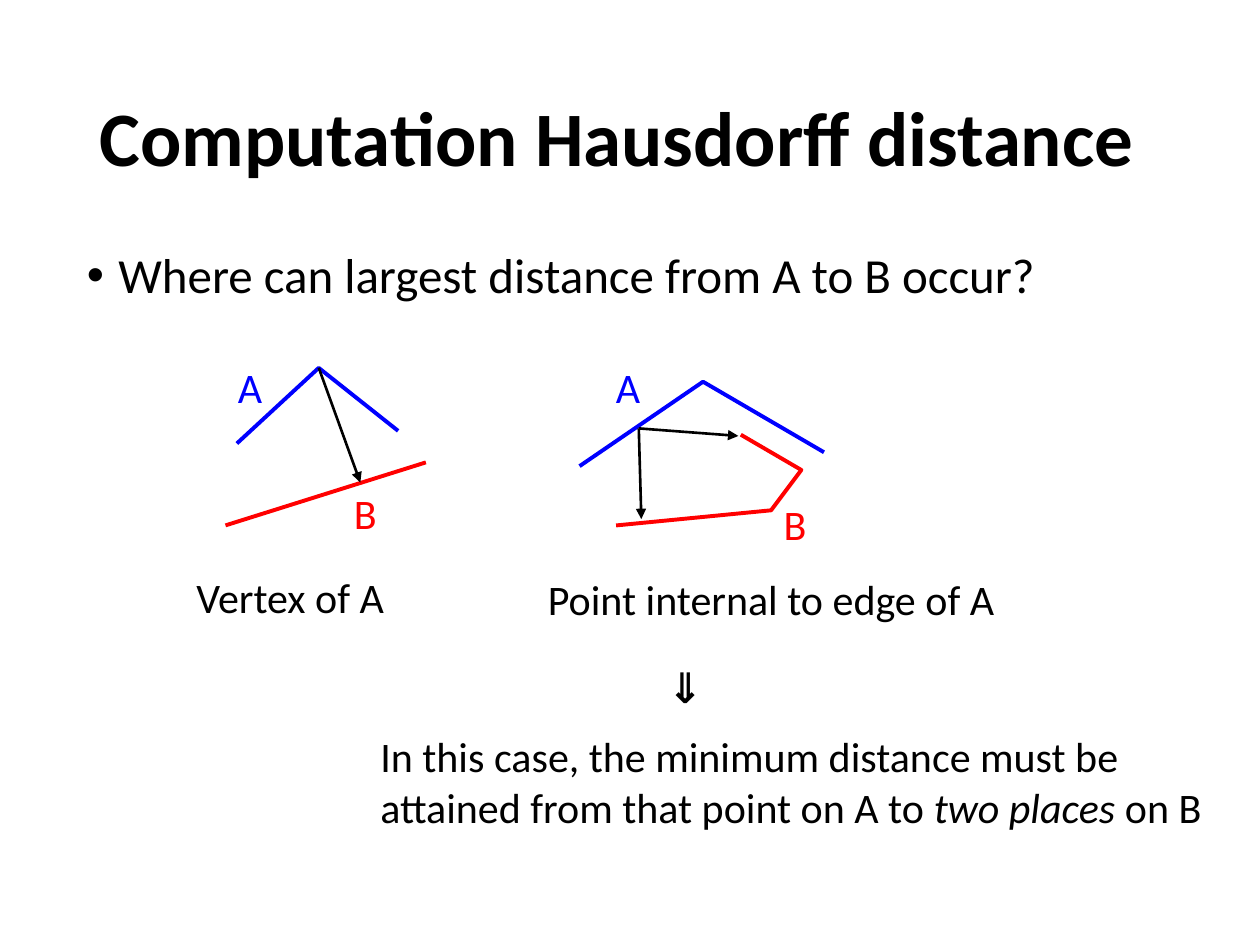
"""Build the slide on where the largest Hausdorff distance can occur."""
from dataclasses import dataclass

from lxml.etree import SubElement
from pptx import Presentation
from pptx.dml.color import RGBColor
from pptx.enum.shapes import MSO_CONNECTOR
from pptx.enum.text import MSO_ANCHOR, MSO_AUTO_SIZE, PP_ALIGN
from pptx.oxml.ns import qn
from pptx.util import Inches, Pt

COLUMNS, ROWS = 100, 75
Point = tuple[float, float]
Area = tuple[float, float, float, float]


@dataclass(frozen=True)
class Theme:
    font: str = "Calibri"
    ink: RGBColor = RGBColor(0, 0, 0)
    set_a: RGBColor = RGBColor(0, 0, 255)
    set_b: RGBColor = RGBColor(255, 0, 0)
    title_size: Pt = Pt(44)
    body_size: Pt = Pt(28)
    label_size: Pt = Pt(24)
    outline: Pt = Pt(2.25)
    arrow: Pt = Pt(1.5)
    line_spacing: float = 0.9


@dataclass(frozen=True)
class Chain:
    points: tuple[Point, ...]
    color: RGBColor


@dataclass(frozen=True)
class Arrow:
    start: Point
    end: Point


@dataclass(frozen=True)
class Label:
    area: Area
    pieces: tuple[str, ...]
    color: RGBColor
    wrap: bool = False
    bold: bool = False


THEME = Theme()
APEX = (25.3, 29.2)
EDGE_POINT = (50.7, 34)
CHAINS = (
    Chain(((17.9, 41.7), (33.8, 36.7)), THEME.set_b),
    Chain(((18.8, 35.2), APEX, (31.6, 34.2)), THEME.set_a),
    Chain(((46, 37), (55.8, 30.3), (65.4, 35.9)), THEME.set_a),
    Chain(((48.9, 41.7), (61.2, 40.5), (63.6, 37.3), (58.8, 34.5)), THEME.set_b),
)
ARROWS = (
    Arrow(EDGE_POINT, (50.9, 41.2)),
    Arrow(EDGE_POINT, (58.6, 34.6)),
    Arrow(APEX, (28.6, 38.3)),
)
LABELS = (
    Label((17.9, 28.2, 4, 5), ("A",), THEME.set_a),
    Label((27.1, 38.2, 3.8, 5), ("B",), THEME.set_b),
    Label((47.9, 28.2, 4, 5), ("A",), THEME.set_a),
    Label((61.2, 39.1, 3.8, 5), ("B",), THEME.set_b),
    Label((14.6, 44.9, 17.1, 5), ("Vertex of A",), THEME.ink),
    Label((42.5, 45, 50.4, 5), ("Point internal to edge of A",), THEME.ink, wrap=True),
    Label(
        (29.2, 57.5, 68.1, 9.1),
        (
            "In this case, the minimum distance must be attained from that point on A to ",
            "two places ",
            "on B",
        ),
        THEME.ink,
        wrap=True,
    ),
    Label((52, 52, 4.1, 5), ("⇓",), THEME.ink, bold=True),
)


def cells(deck, *values: float) -> list[int]:
    """Convert alternating column and row counts to slide lengths."""
    units = (deck.slide_width / COLUMNS, deck.slide_height / ROWS)
    return [round(value * units[index % 2]) for index, value in enumerate(values)]


def set_font(para, size: Pt, color: RGBColor, bold: bool = False) -> None:
    """Give a paragraph its type style."""
    font = para.font
    font.name, font.size, font.bold = THEME.font, size, bold
    font.color.rgb = color


def fill_placeholder(deck, box, area: Area, text: str, size: Pt, bold: bool = False):
    """Move a placeholder and set its text."""
    box.left, box.top, box.width, box.height = cells(deck, *area)
    frame = box.text_frame
    frame.text = text
    frame.auto_size = MSO_AUTO_SIZE.NONE
    para = frame.paragraphs[0]
    para.alignment = PP_ALIGN.LEFT
    para.line_spacing = THEME.line_spacing
    para.space_before = Pt(0)
    set_font(para, size, THEME.ink, bold)
    return frame


def draw_chain(deck, page, chain: Chain) -> None:
    """Draw an open polygonal chain, or a connector for one segment."""
    points = [cells(deck, *point) for point in chain.points]
    if len(points) == 2:
        shape = draw_segment(page, *points)
    else:
        builder = page.shapes.build_freeform(*points[0])
        builder.add_line_segments(points[1:], close=False)
        shape = builder.convert_to_shape()
        shape.shadow.inherit = False
        shape.fill.background()
    shape.line.color.rgb = chain.color
    shape.line.width = THEME.outline


def draw_segment(page, start: list[int], end: list[int]):
    """Add a straight connector without a shadow."""
    segment = page.shapes.add_connector(MSO_CONNECTOR.STRAIGHT, *start, *end)
    segment.line.color.rgb = THEME.ink
    SubElement(segment._element.spPr, qn("a:effectLst"))
    return segment


def draw_arrow(deck, page, arrow: Arrow) -> None:
    """Draw a distance arrow."""
    segment = draw_segment(page, cells(deck, *arrow.start), cells(deck, *arrow.end))
    segment.line.width = THEME.arrow
    SubElement(segment.line._get_or_add_ln(), qn("a:tailEnd"), type="triangle")


def draw_label(deck, page, label: Label) -> None:
    """Add a text box whose every second piece is italic."""
    frame = page.shapes.add_textbox(*cells(deck, *label.area)).text_frame
    frame.word_wrap = label.wrap
    frame.auto_size = MSO_AUTO_SIZE.SHAPE_TO_FIT_TEXT
    para = frame.paragraphs[0]
    set_font(para, THEME.label_size, label.color, label.bold)
    for index, piece in enumerate(label.pieces):
        span = para.add_run()
        span.text = piece
        if index % 2:
            span.font.italic = True


def main() -> None:
    """Build and save the deck."""
    deck = Presentation()
    deck.slide_width, deck.slide_height = Inches(10), Inches(7.5)
    page = deck.slides.add_slide(deck.slide_layouts[1])
    title = fill_placeholder(
        deck, page.shapes.title, (6.9, 4, 86.2, 14.5),
        "Computation Hausdorff distance", THEME.title_size, bold=True,
    )
    title.vertical_anchor = MSO_ANCHOR.MIDDLE
    body = fill_placeholder(
        deck, page.placeholders[1], (5.9, 19.4, 87.5, 7.5),
        "Where can largest distance from A to B occur?", THEME.body_size,
    )
    indent = Inches(0.25)
    properties = body.paragraphs[0]._p.get_or_add_pPr()
    properties.set("marL", str(indent))
    properties.set("indent", str(-indent))
    for chain in CHAINS:
        draw_chain(deck, page, chain)
    for arrow in ARROWS:
        draw_arrow(deck, page, arrow)
    for label in LABELS:
        draw_label(deck, page, label)
    deck.save("out.pptx")


if __name__ == "__main__":
    main()
